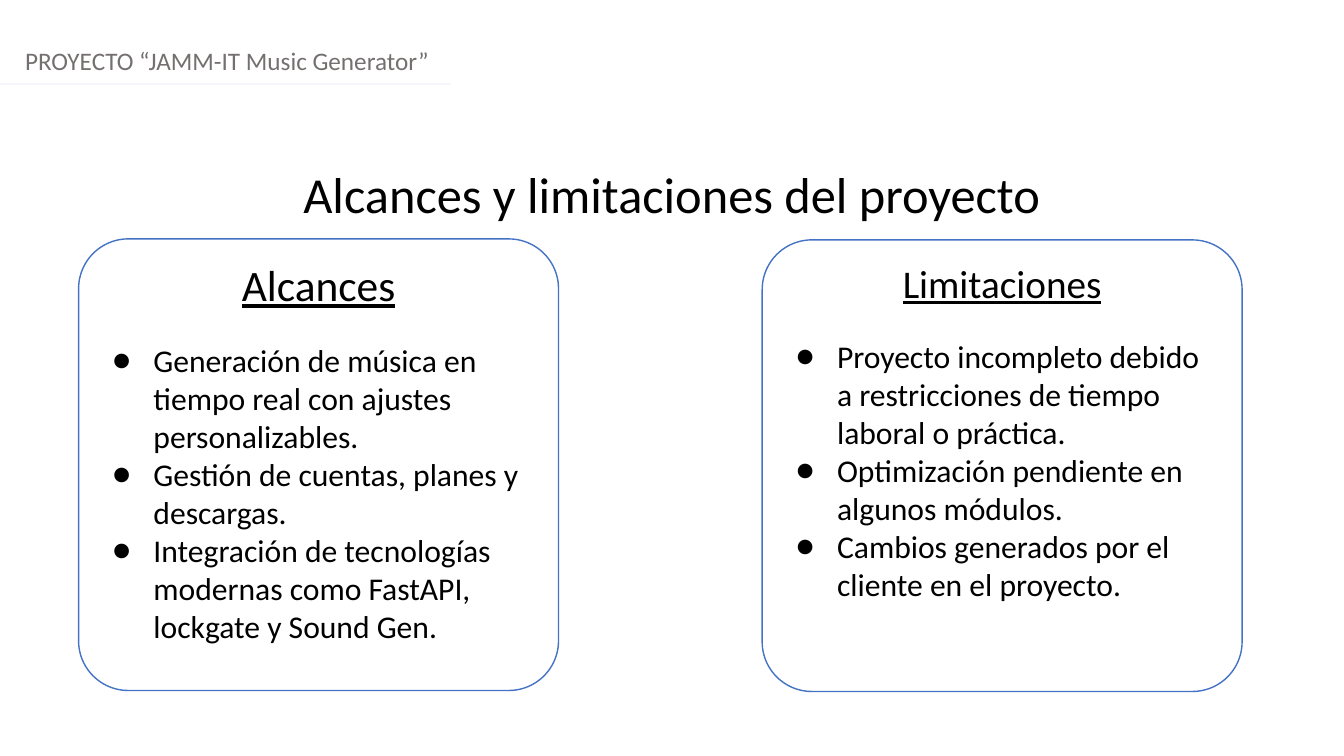
import pptx
import pptx.util
import pptx.dml.color
import pptx.enum.shapes
import pptx.enum.text
import lxml.etree

Inches, Pt = pptx.util.Inches, pptx.util.Pt
ALIGN = pptx.enum.text.PP_ALIGN


def rgb(color):
    return pptx.dml.color.RGBColor.from_string(color)


def write(tf, text, size, color="000000", align=ALIGN.LEFT, underline=False,
          after=0, bullet=None):
    """Fill the frame's first paragraph if empty, otherwise append one."""
    p = tf.paragraphs[0] if not tf.text else tf.add_paragraph()
    p.alignment = align
    p.space_before, p.space_after, p.line_spacing = Pt(0), Pt(after), 1.0
    r = p.add_run()
    r.text = text
    r.font.name, r.font.size = "Calibri", Pt(size)
    r.font.color.rgb = rgb(color)
    r.font.underline = underline
    if bullet:
        pPr = p._p.get_or_add_pPr()
        pPr.set("marL", str(Inches(0.5)))
        pPr.set("indent", str(Inches(-0.41)))
        ns = pptx.oxml.ns.qn
        buClr = lxml.etree.SubElement(pPr, ns("a:buClr"))
        lxml.etree.SubElement(buClr, ns("a:srgbClr"), val=color)
        lxml.etree.SubElement(pPr, ns("a:buFont"), typeface="Calibri")
        lxml.etree.SubElement(pPr, ns("a:buChar"), char=bullet)


prs = pptx.Presentation()
prs.slide_width, prs.slide_height = Inches(13.33), Inches(7.5)
s = prs.slides.add_slide(prs.slide_layouts[5])

# Title and project header
title = s.shapes.title
title.left, title.top = Inches(0), Inches(1.57)
title.width, title.height = Inches(13.33), Inches(0.71)
title.text_frame.word_wrap = True
title.text_frame.auto_size = pptx.enum.text.MSO_AUTO_SIZE.NONE
title.text_frame.vertical_anchor = pptx.enum.text.MSO_ANCHOR.TOP
write(title.text_frame, "Alcances y limitaciones del proyecto", 36, align=ALIGN.CENTER)

header = s.shapes.add_textbox(Inches(0.15), Inches(0.4), Inches(13.33), Inches(0.4))
header.text_frame.word_wrap = True
write(header.text_frame, "PROYECTO “JAMM-IT Music Generator”", 18, color="757070")

rule = s.shapes.add_connector(pptx.enum.shapes.MSO_CONNECTOR.STRAIGHT,
                              Inches(0), Inches(0.83), Inches(4.47), Inches(0.83))
rule.line.color.rgb = rgb("F5F7FC")
rule.line.width = Pt(1.25)
lxml.etree.SubElement(rule._element.spPr, pptx.oxml.ns.qn("a:effectLst"))

# Two panels: left, top, heading, heading size, points
panels = [
    (0.78, 2.37, "Alcances", 31, [
        "Generación de música en tiempo real con ajustes personalizables.",
        "Gestión de cuentas, planes y descargas.",
        "Integración de tecnologías modernas como FastAPI, lockgate y Sound Gen.",
    ]),
    (7.56, 2.38, "Limitaciones", 28, [
        "Proyecto incompleto debido a restricciones de tiempo laboral o práctica.",
        "Optimización pendiente en algunos módulos.",
        "Cambios generados por el cliente en el proyecto.",
    ]),
]
for left, top, heading, size, points in panels:
    sp = s.shapes.add_shape(pptx.enum.shapes.MSO_SHAPE.ROUNDED_RECTANGLE,
                            Inches(left), Inches(top), Inches(4.76), Inches(4.48))
    sp.adjustments[0] = 0.11
    sp.shadow.inherit = False
    sp.fill.solid()
    sp.fill.fore_color.rgb = rgb("FFFFFF")
    sp.line.color.rgb = rgb("4472C4")
    sp.line.width = Pt(1)
    tf = sp.text_frame
    tf.word_wrap = True
    tf.vertical_anchor = pptx.enum.text.MSO_ANCHOR.TOP
    write(tf, heading, size, align=ALIGN.CENTER, underline=True, after=22)
    for point in points:
        write(tf, point, 22.6, bullet="●")

prs.save("out.pptx")
